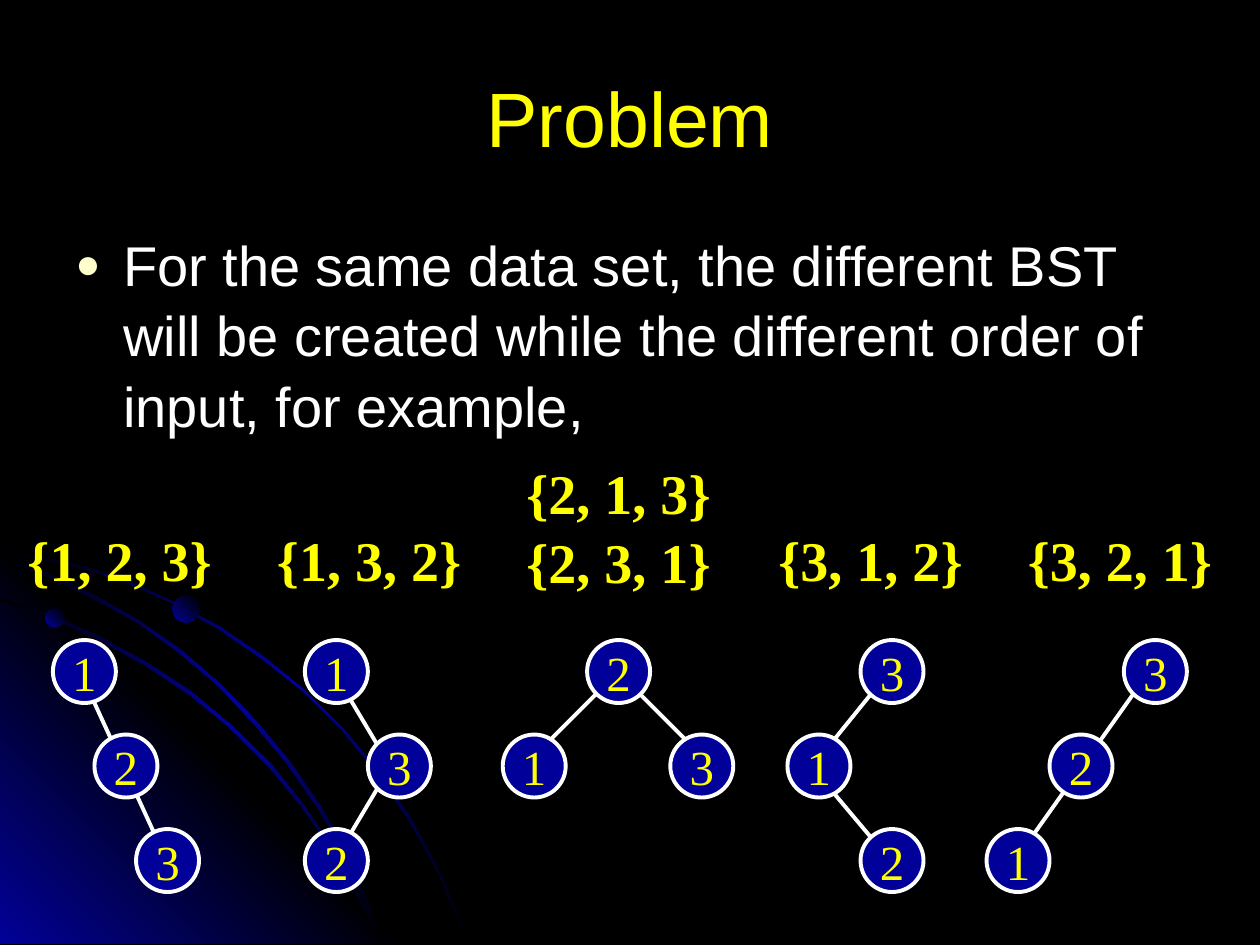
from lxml.etree import SubElement
from pptx import Presentation
from pptx.dml.color import RGBColor
from pptx.enum.shapes import MSO_CONNECTOR, MSO_SHAPE
from pptx.enum.text import MSO_ANCHOR, MSO_AUTO_SIZE, PP_ALIGN
from pptx.oxml import parse_xml
from pptx.oxml.ns import nsdecls, qn
from pptx.util import Inches, Pt

HUES = {"back": "000000", "blue": "010199", "gold": "FFFF00",
        "text": "FFFFFF", "dot": "FFFFCC"}
SANS, SERIF = "Arial", "Times New Roman"
NODE, STEP = 0.5, 0.75

ARCS = [
    [(0.57, 4.47), (0.28, 4.41), (0, 4.35), (0, 4.38), (0.28, 4.43),
     (0.56, 4.49), (0.97, 4.61), (1.35, 4.78), (1.73, 4.99), (2.08, 5.23),
     (2.41, 5.49), (2.71, 5.79), (2.98, 6.12), (3.23, 6.49), (3.37, 6.73),
     (3.5, 6.98), (3.6, 7.23), (3.7, 7.49), (3.72, 7.49), (3.62, 7.23),
     (3.52, 6.98), (3.39, 6.73), (3.25, 6.48), (3, 6.11), (2.72, 5.78),
     (2.42, 5.48), (2.09, 5.21), (1.74, 4.97), (1.36, 4.77), (0.98, 4.59)],
    [(2.85, 7.14), (2.94, 7.32), (3.01, 7.49), (3.03, 7.49), (2.96, 7.3),
     (2.86, 7.12), (2.66, 6.76), (2.42, 6.4), (2.15, 6.06), (1.84, 5.76),
     (1.52, 5.49), (1.17, 5.26), (0.79, 5.05), (0.41, 4.88), (0, 4.75),
     (0, 4.77), (0.39, 4.9), (0.77, 5.07), (1.15, 5.28), (1.5, 5.51),
     (1.83, 5.78), (2.13, 6.08), (2.4, 6.41), (2.65, 6.77)],
    [(0, 4.42), (0, 4.44), (0.36, 4.57), (0.74, 4.75), (1.09, 4.94),
     (1.42, 5.18), (1.73, 5.44), (2.02, 5.75), (2.27, 6.05), (2.52, 6.41),
     (2.67, 6.67), (2.8, 6.94), (2.92, 7.22), (3.01, 7.49), (3.03, 7.49),
     (2.94, 7.2), (2.82, 6.93), (2.69, 6.65), (2.54, 6.39), (2.29, 6.03),
     (2.04, 5.73), (1.75, 5.43), (1.44, 5.16), (1.11, 4.93), (0.76, 4.73),
     (0.39, 4.55)],
]
WEDGE = [(3.22, 7.49), (0, 7.49), (0, 4.27)]
BALLS = [(0.36, 4.83, 0.15, 315), (2.67, 6.74, 0.16, 45),
         (1.37, 4.73, 0.21, 315)]

TREES = [
    (0.42, [("1", 0, 0), ("2", 0.33, 1), ("3", 0.66, 2)],
     [(0.33, 0.5, 0.83, 1.59)]),
    (2.42, [("1", 0, 0), ("3", 0.5, 1), ("2", 0, 2)],
     [(0.33, 1.59, 0.58, 1.17), (0.33, 0.42, 0.58, 0.84)]),
    (3.99, [("1", 0, 1), ("2", 0.67, 0), ("3", 1.33, 1)],
     [(1.08, 0.42, 1.5, 0.84), (0.75, 0.42, 0.33, 0.84)]),
    (6.25, [("1", 0, 1), ("2", 0.58, 2), ("3", 0.58, 0)],
     [(0.33, 1.17, 0.75, 1.67), (0.67, 0.42, 0.33, 0.84)]),
    (7.83, [("1", 0, 2), ("2", 0.5, 1), ("3", 1.09, 0)],
     [(1.17, 0.42, 0.34, 1.59)]),
]
SETS = [("{1, 2, 3}", 0.12, 4.12), ("{1, 3, 2}", 2.1, 4.12),
        ("{2, 1, 3}", 4.08, 3.59), ("{3, 1, 2}", 6.08, 4.12),
        ("{3, 2, 1}", 8.06, 4.12), ("{2, 3, 1}", 4.08, 4.14)]


def tone(name):
    """Return a named colour."""
    return RGBColor.from_string(HUES[name])


def style(frame, text, face, size, hue, bold=False):
    """Set the text of a frame and return its paragraph."""
    frame.text = text
    para = frame.paragraphs[0]
    font = para.runs[0].font
    font.name, font.size, font.bold = face, Pt(size), bold
    font.color.rgb = tone(hue)
    return para


def blend(shape, names, angle):
    """Fill a shape with an even gradient and no outline."""
    shape.shadow.inherit = False
    shape.line.fill.background()
    shape.fill.background()
    gap = 100000 // (len(names) - 1)
    stops = "".join(
        f'<a:gs pos="{i * gap}"><a:srgbClr val="{HUES[name]}"/></a:gs>'
        for i, name in enumerate(names))
    grad = parse_xml(
        f'<a:gradFill {nsdecls("a")} rotWithShape="1"><a:gsLst>{stops}</a:gsLst>'
        f'<a:lin ang="{angle * 60000}" scaled="1"/></a:gradFill>')
    props = shape.fill._xPr
    props.replace(props.find(qn("a:noFill")), grad)


def decor(slide, left, top):
    """Draw the glowing corner with its orbits and balls."""
    group = slide.shapes.add_group_shape().shapes

    def trace(points, names, angle):
        """Draw one closed outline."""
        spots = [(Inches(left + x), Inches(top + y)) for x, y in points]
        path = group.build_freeform(*spots[0], scale=1.0)
        path.add_line_segments(spots[1:], close=True)
        blend(path.convert_to_shape(), names, angle)

    glow = ("back", "blue", "back")
    trace(ARCS[0], glow, 45)
    trace(WEDGE, ("blue", "back", "blue"), 315)
    for arc in ARCS[1:]:
        trace(arc, glow, 45)
    for x, y, size, angle in BALLS:
        ball = group.add_shape(MSO_SHAPE.OVAL, Inches(left + x),
                               Inches(top + y), Inches(size), Inches(size))
        blend(ball, ("blue", "back"), angle)


def title(slide, left, top, width, height):
    """Place the heading."""
    box = slide.shapes.add_textbox(*map(Inches, (left, top, width, height)))
    frame = box.text_frame
    frame.word_wrap = True
    frame.vertical_anchor = MSO_ANCHOR.MIDDLE
    style(frame, "Problem", SANS, 44, "gold").alignment = PP_ALIGN.CENTER


def body(slide, left, top, width, height):
    """Place the bulleted statement."""
    box = slide.shapes.add_textbox(*map(Inches, (left, top, width, height)))
    frame = box.text_frame
    frame.word_wrap = True
    para = style(frame, "For the same data set, the different BST will be "
                 "created while the different order of input, for example,",
                 SANS, 32, "text")
    para.line_spacing = 1.05
    props = para._p.get_or_add_pPr()
    props.set("marL", str(Inches(0.38)))
    props.set("indent", str(-Inches(0.38)))
    hue = SubElement(props, qn("a:buClr"))
    SubElement(hue, qn("a:srgbClr"), val=HUES["dot"])
    SubElement(props, qn("a:buSzPct"), val="75000")
    SubElement(props, qn("a:buFont"), typeface=SANS)
    SubElement(props, qn("a:buChar"), char="●")


def tree(slide, left, top, nodes, edges):
    """Draw one search tree, edges behind nodes."""
    group = slide.shapes.add_group_shape().shapes
    for x1, y1, x2, y2 in edges:
        ends = (left + x1, top + y1, left + x2, top + y2)
        edge = group.add_connector(MSO_CONNECTOR.STRAIGHT, *map(Inches, ends))
        edge.line.color.rgb = tone("text")
        edge.line.width = Pt(2.25)
        SubElement(edge._element.spPr, qn("a:effectLst"))
    for key, x, row in nodes:
        spot = (left + x, top + row * STEP, NODE, NODE)
        node = group.add_shape(MSO_SHAPE.OVAL, *map(Inches, spot))
        node.shadow.inherit = False
        node.fill.solid()
        node.fill.fore_color.rgb = tone("blue")
        node.line.color.rgb = tone("text")
        node.line.width = Pt(2.25)
        frame = node.text_frame
        frame.word_wrap = False
        frame.vertical_anchor = MSO_ANCHOR.MIDDLE
        style(frame, key, SERIF, 28, "gold").alignment = PP_ALIGN.CENTER


def label(slide, text, left, top, width, height):
    """Place one input order."""
    box = slide.shapes.add_textbox(*map(Inches, (left, top, width, height)))
    frame = box.text_frame
    frame.word_wrap = False
    frame.auto_size = MSO_AUTO_SIZE.SHAPE_TO_FIT_TEXT
    style(frame, text, SERIF, 32, "gold", bold=True)


def main():
    """Build and save the slide."""
    deck = Presentation()
    deck.slide_width, deck.slide_height = Inches(10), Inches(7.5)
    slide = deck.slides.add_slide(deck.slide_layouts[6])
    slide.background.fill.solid()
    slide.background.fill.fore_color.rgb = tone("back")
    decor(slide, 0, 0)
    title(slide, 0.5, 0.3, 9, 1.25)
    body(slide, 0.5, 1.75, 9, 4.95)
    for left, nodes, edges in TREES:
        tree(slide, left, 5.08, nodes, edges)
    for text, left, top in SETS:
        label(slide, text, left, top, 1.66, 0.63)
    deck.save("out.pptx")


if __name__ == "__main__":
    main()
